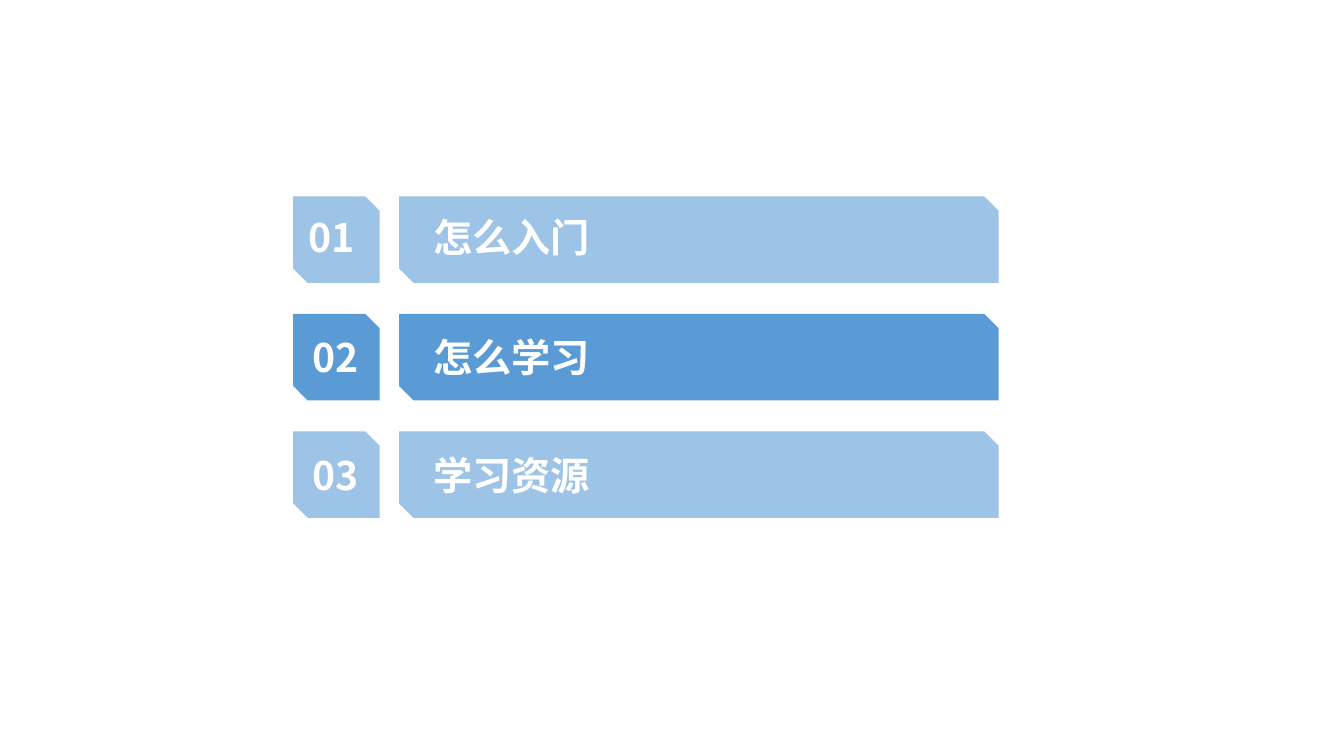
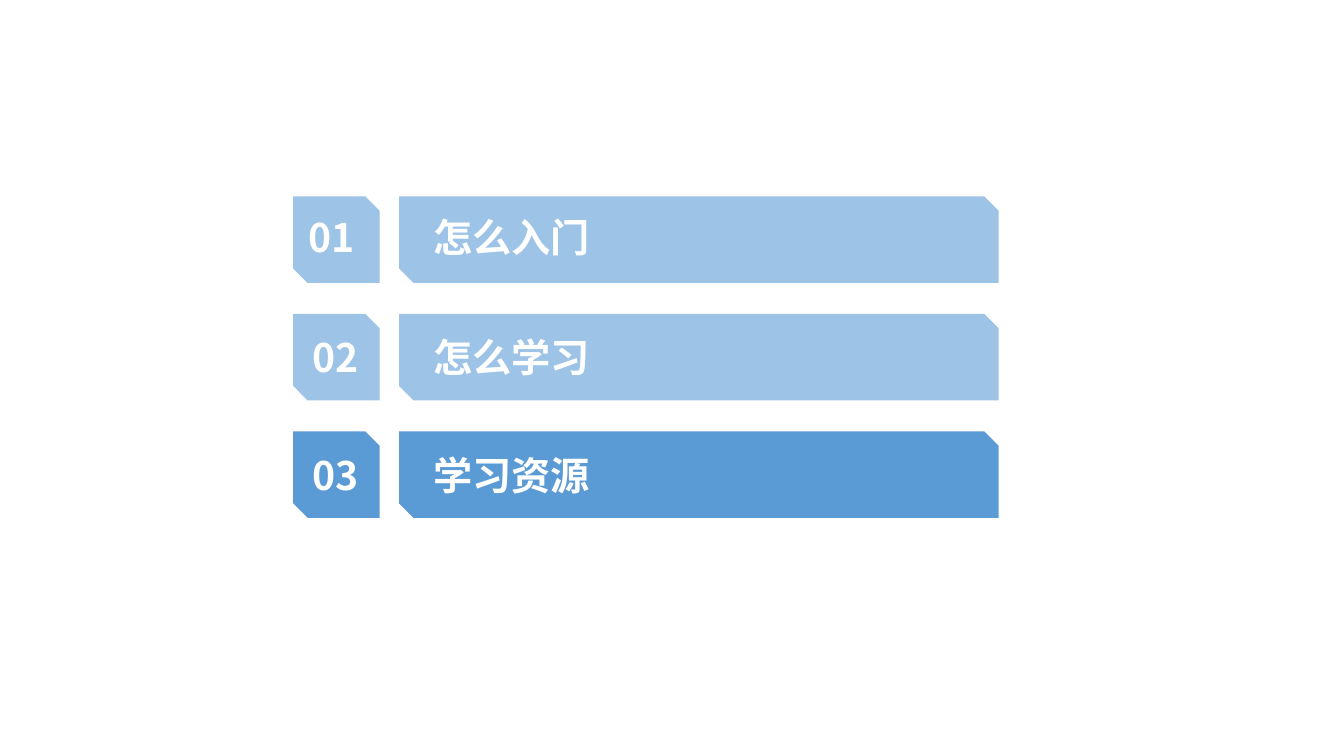
import pptx
import pptx.dml.color
import pptx.enum.shapes
import pptx.enum.text
import pptx.util
import lxml.etree
from pptx.util import Cm

PALE_BLUE = pptx.dml.color.RGBColor(0x9D, 0xC3, 0xE6)
STRONG_BLUE = pptx.dml.color.RGBColor(0x5B, 0x9B, 0xD5)
WHITE = pptx.dml.color.RGBColor(0xFF, 0xFF, 0xFF)
FONT = "Noto Sans CJK SC"

# Agenda grid in centimetres
TOP, PITCH, HEIGHT = 4.95, 2.96, 2.18
NUMBER_LEFT, BAR_LEFT, BAR_WIDTH = 7.39, 10.06, 15.11
LABEL_LEFT = 10.67

# Number, topic, left edge of the number text, drop of the text inside its row
AGENDA = [
    ("01", "怎么入门", 7.52, 0.31),
    ("02", "怎么学习", 7.62, 0.37),
    ("03", "学习资源", 7.62, 0.37),
]


def add_panel(slide, left, top, width, color):
    panel = slide.shapes.add_shape(
        pptx.enum.shapes.MSO_SHAPE.SNIP_2_DIAG_RECTANGLE,
        Cm(left), Cm(top), Cm(width), Cm(HEIGHT))
    panel.shadow.inherit = False
    panel.fill.solid()
    panel.fill.fore_color.rgb = color
    panel.line.fill.background()


def add_label(slide, left, top, width, text):
    frame = slide.shapes.add_textbox(Cm(left), Cm(top), Cm(width), Cm(1.45)).text_frame
    frame.word_wrap = False
    frame.auto_size = pptx.enum.text.MSO_AUTO_SIZE.SHAPE_TO_FIT_TEXT
    frame.text = text
    font = frame.paragraphs[0].runs[0].font
    font.name = FONT
    font.size = pptx.util.Pt(28)
    font.bold = True
    font.color.rgb = WHITE
    # Chinese characters take their font from a:ea
    run_properties = frame.paragraphs[0].runs[0]._r.get_or_add_rPr()
    east_asian = lxml.etree.SubElement(run_properties, pptx.oxml.ns.qn("a:ea"))
    east_asian.set("typeface", FONT)


deck = pptx.Presentation()
deck.slide_width, deck.slide_height = Cm(33.87), Cm(19.05)
blank_layout = deck.slide_layouts[6]

# One agenda slide per highlighted topic
for current in ("02", "03"):
    slide = deck.slides.add_slide(blank_layout)
    for row, (number, topic, number_text_left, drop) in enumerate(AGENDA):
        top = TOP + row * PITCH
        color = STRONG_BLUE if number == current else PALE_BLUE
        add_panel(slide, NUMBER_LEFT, top, HEIGHT, color)
        add_panel(slide, BAR_LEFT, top, BAR_WIDTH, color)
        add_label(slide, number_text_left, top + drop, 1.73, number)
        add_label(slide, LABEL_LEFT, top + drop, 4.5, topic)

deck.save("out.pptx")
